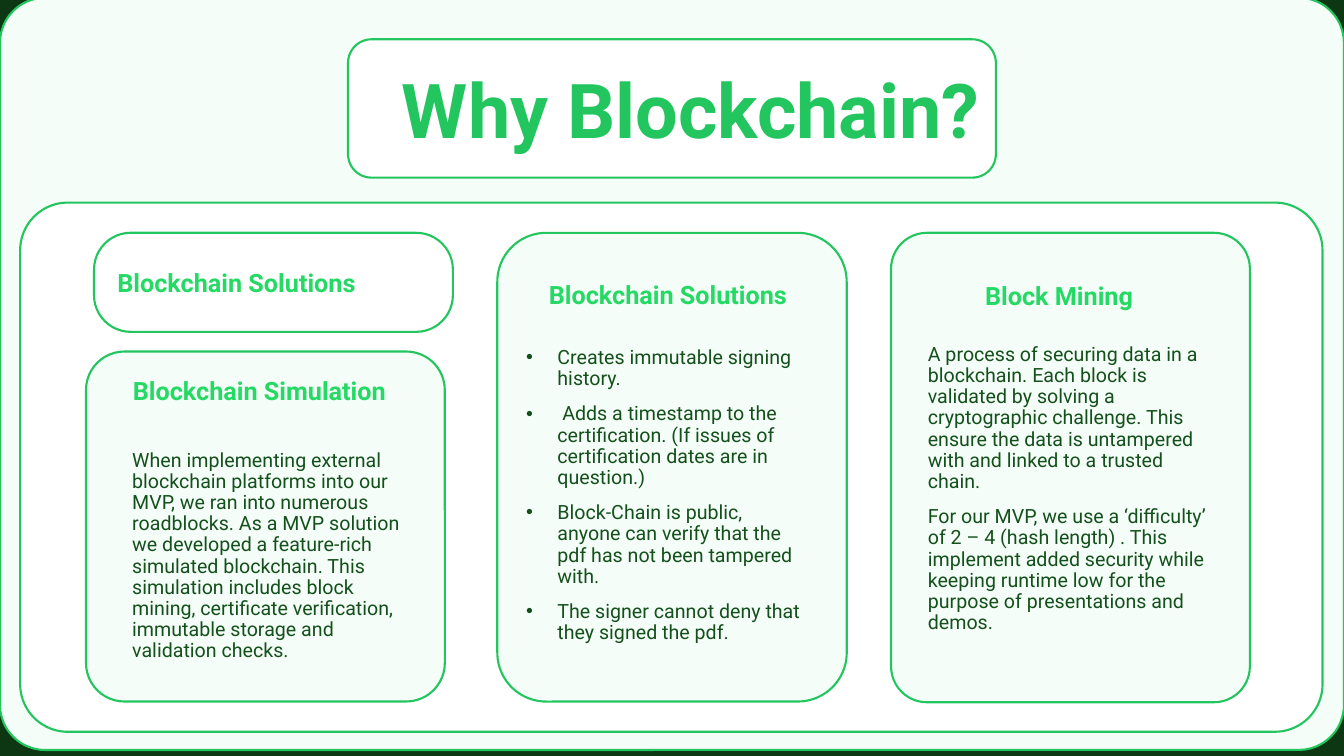
"""Build the "Why Blockchain?" slide with its four rounded cards."""
from pptx import Presentation, util as u
from pptx.dml.color import RGBColor
from pptx.enum import shapes, text
from pptx.oxml.ns import qn
from lxml import etree

NIGHT = RGBColor(0x0D, 0x36, 0x12)
MINT = RGBColor(0xF5, 0xFD, 0xF8)
WHITE = RGBColor(0xFF, 0xFF, 0xFF)
GREEN = RGBColor(0x22, 0xC5, 0x5E)
BRIGHT = RGBColor(0x25, 0xD9, 0x65)
FOREST = RGBColor(0x13, 0x50, 0x1B)

prs = Presentation()
prs.slide_width, prs.slide_height = u.Inches(13.33), u.Inches(7.5)
s = prs.slides.add_slide(prs.slide_layouts[1])
s.background.fill.solid()
s.background.fill.fore_color.rgb = NIGHT


def share(x, y, w, h):
    """Turn percentages of the slide's width and height into lengths."""
    W, H = prs.slide_width / 100, prs.slide_height / 100
    return int(x * W), int(y * H), int(w * W), int(h * H)


def write(sp, box, paragraphs, size, color, bold=False, align=text.PP_ALIGN.LEFT, bullet=False):
    """Place a text shape and fill it with formatted paragraphs."""
    sp.left, sp.top, sp.width, sp.height = share(*box)
    tf = sp.text_frame
    tf.text = "\n".join(paragraphs)
    tf.word_wrap = True
    tf.auto_size = text.MSO_AUTO_SIZE.NONE
    for i, p in enumerate(tf.paragraphs):
        p.alignment = align
        p.line_spacing = 0.9
        p.space_before = u.Pt(10 if i else 0)
        if bullet:
            pPr = p._p.get_or_add_pPr()
            pPr.set("marL", str(u.Inches(0.31)))
            pPr.set("indent", str(u.Inches(-0.31)))
            etree.SubElement(pPr, qn("a:buFont")).set("typeface", "Arial")
            etree.SubElement(pPr, qn("a:buChar")).set("char", "•")
        for r in p.runs:
            r.font.name, r.font.size, r.font.bold = "Roboto", u.Pt(size), bold
            r.font.color.rgb = color


panels = [
    ((0, -0.3, 100, 99.5), 0.06, MINT),
    ((1.5, 26.8, 96.9, 70), 0.09, WHITE),
    ((25.9, 5.2, 48.2, 18.3), 0.17, WHITE),
    ((7, 30.8, 26.7, 13.1), 0.37, WHITE),
    ((6.4, 46.5, 26.7, 46.3), 0.11, MINT),
    ((37, 30.8, 26, 62), 0.14, MINT),
    ((66.3, 30.8, 26.7, 62.1), 0.1, MINT),
]
for box, radius, fill in panels:
    sp = s.shapes.add_shape(shapes.MSO_SHAPE.ROUNDED_RECTANGLE, *share(*box))
    sp.adjustments[0] = radius
    sp.shadow.inherit = False
    sp.fill.solid()
    sp.fill.fore_color.rgb = fill
    sp.line.color.rgb = GREEN
    sp.line.width = u.Pt(1.5)

title, benefits = s.shapes.title, s.placeholders[1]
for sp in (title, benefits):
    sp.element.getparent().append(sp.element)

write(title, (29, 7.1, 44.8, 14), ["Why Blockchain?"], 54, GREEN, True, text.PP_ALIGN.CENTER)
title.text_frame.vertical_anchor = text.MSO_ANCHOR.BOTTOM

write(benefits, (38.4, 45.3, 22.1, 41.7), [
    "Creates immutable signing history.",
    " Adds a timestamp to the certification. (If issues of certification dates are in question.)",
    "Block-Chain is public, anyone can verify that the pdf has not been tampered with.",
    "The signer cannot deny that they signed the pdf.",
], 14, FOREST, bullet=True)

headings = [
    (6.3, 35.2, "Blockchain Solutions"),
    (8, 49.5, "Blockchain Simulation"),
    (38.4, 36.8, "Blockchain Solutions"),
    (67.5, 36.9, "Block Mining"),
]
for x, y, heading in headings:
    sp = s.shapes.add_textbox(0, 0, 0, 0)
    write(sp, (x, y, 22.6, 3.9), [heading], 18, BRIGHT, True, text.PP_ALIGN.CENTER)

bodies = [
    (9.1, 58.9, 29.5, [
        "When implementing external blockchain platforms into our MVP, we ran into numerous "
        "roadblocks. As a MVP solution we developed a feature-rich simulated blockchain. This "
        "simulation includes block mining, certificate verification, immutable storage and "
        "validation checks.",
    ]),
    (68.3, 44.9, 40.5, [
        "A process of securing data in a blockchain. Each block is validated by solving a "
        "cryptographic challenge. This ensure the data is untampered with and linked to a "
        "trusted chain.",
        "For our MVP, we use a ‘difficulty’ of 2 – 4 (hash length) . This implement added "
        "security while keeping runtime low for the purpose of presentations and demos.",
    ]),
]
for x, y, h, paragraphs in bodies:
    sp = s.shapes.add_textbox(0, 0, 0, 0)
    write(sp, (x, y, 22.6, h), paragraphs, 14, FOREST)

prs.save("out.pptx")
